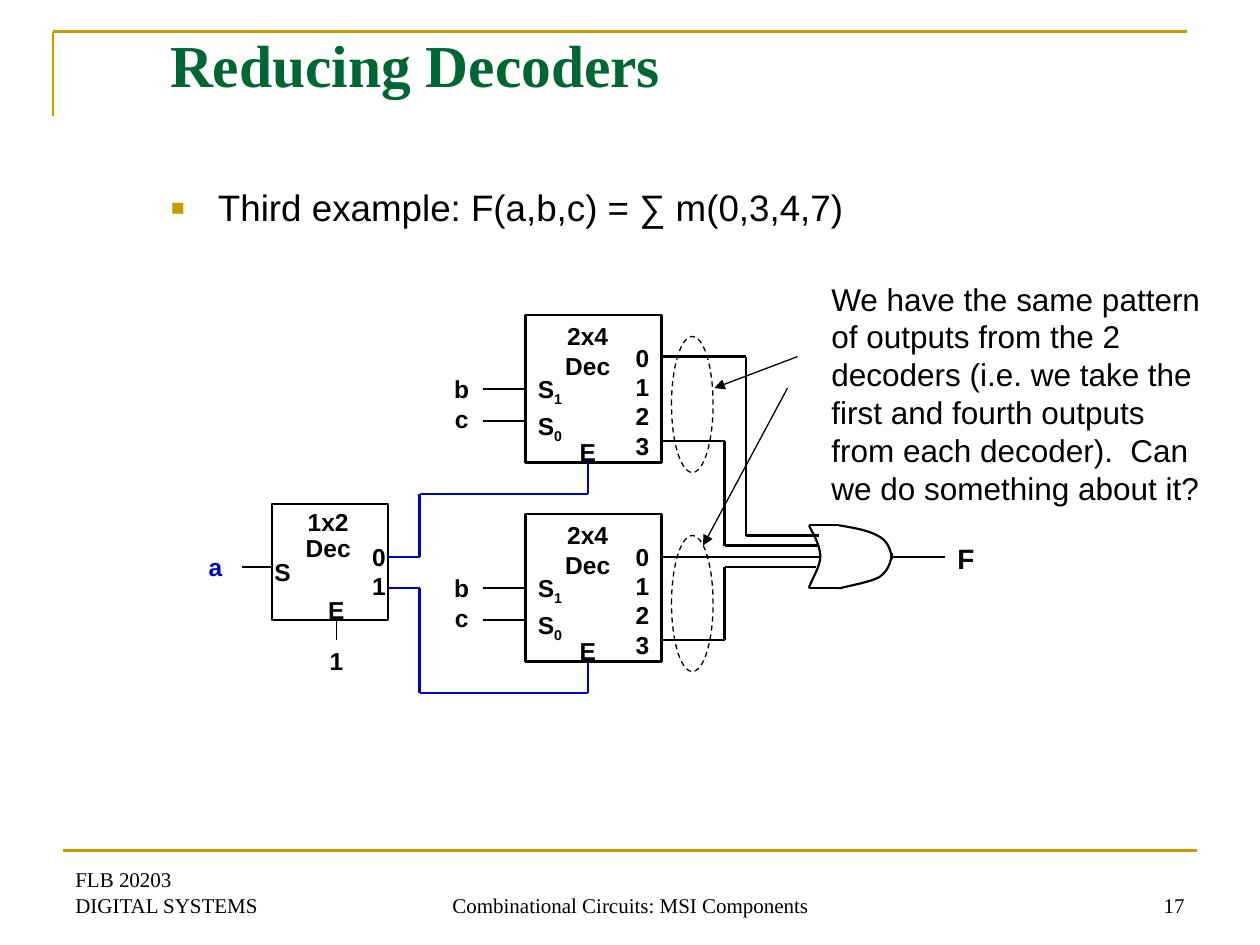
"""Slide on reducing decoders: a 1x2 decoder enabling two 2x4 decoders that feed an OR gate."""
from itertools import pairwise

from lxml.etree import SubElement
from pptx import Presentation
from pptx.dml.color import RGBColor
from pptx.enum.dml import MSO_LINE
from pptx.enum.shapes import MSO_CONNECTOR, MSO_SHAPE
from pptx.enum.text import MSO_ANCHOR, MSO_AUTO_SIZE, PP_ALIGN
from pptx.oxml.ns import qn
from pptx.util import Inches, Pt

COLORS = {"ink": "000000", "wire": "0000CC", "gold": "CC9900", "title": "006633"}
LEFT, CENTER, RIGHT = PP_ALIGN.LEFT, PP_ALIGN.CENTER, PP_ALIGN.RIGHT

deck = Presentation()
deck.slide_width, deck.slide_height = Inches(10), Inches(7.5)
page = deck.slides.add_slide(deck.slide_layouts[1])


def wire(points, color="ink", width=1.25, arrow=False):
    """Join the points with straight connectors."""
    for start, end in pairwise(points):
        line = page.shapes.add_connector(
            MSO_CONNECTOR.STRAIGHT, *(Inches(value) for value in (*start, *end)))
        line.line.color.rgb = RGBColor.from_string(COLORS[color])
        line.line.width = Pt(width)
        SubElement(line._element.spPr, qn("a:effectLst"))
        if arrow:
            SubElement(line.line._get_or_add_ln(), qn("a:tailEnd"), type="triangle")


def label(area, lines, align=CENTER, size=14, color="ink", bold=True,
          font="Arial", anchor=MSO_ANCHOR.TOP, spacing=None, gap=0):
    """Add a text box; an underscore in a line starts a subscript."""
    box = page.shapes.add_textbox(*(Inches(value) for value in area))
    frame = box.text_frame
    frame.word_wrap = True
    frame.vertical_anchor = anchor
    for index, line in enumerate(lines):
        para = frame.add_paragraph() if index else frame.paragraphs[0]
        para.alignment = align
        para.line_spacing = spacing
        if index and gap:
            para.space_before = Pt(gap)
        para.font.size, para.font.bold, para.font.name = Pt(size), bold, font
        para.font.color.rgb = RGBColor.from_string(COLORS[color])
        base, _, subscript = line.partition("_")
        para.add_run().text = base
        if subscript:
            span = para.add_run()
            span.text = subscript
            span.font._element.set("baseline", "-25000")


wire([(0.42, 0.92), (0.42, 0.25), (9.42, 0.25)], "gold", 1.5)
wire([(0.5, 6.75), (9.5, 6.75)], "gold", 1.5)
for left, width, align, text in (
    (0.5, 2.33, LEFT, ["FLB 20203", "DIGITAL SYSTEMS"]),
    (3.42, 3.17, CENTER, ["Combinational Circuits: MSI Components"]),
    (7.17, 2.33, RIGHT, ["17"]),
):
    label((left, 6.83, width, 0.5), text, align, 12, bold=False,
          font="Times New Roman", anchor=MSO_ANCHOR.BOTTOM)

title, body = page.shapes.title, page.placeholders[1]
for holder, area, text, size, font, color in (
    (title, (1.25, 0.17, 8.5, 1.25), "Reducing Decoders", 34, "Times New Roman", "title"),
    (body, (1.25, 1.42, 8.42, 0.58), "Third example: F(a,b,c) = ∑ m(0,3,4,7)", 21, "Arial", "ink"),
):
    holder.left, holder.top, holder.width, holder.height = (Inches(value) for value in area)
    holder.text_frame.text = text
    holder.text_frame.vertical_anchor = MSO_ANCHOR.TOP
    holder.text_frame.auto_size = MSO_AUTO_SIZE.NONE
    para = holder.text_frame.paragraphs[0]
    para.alignment = LEFT
    para.space_before = Pt(0)
    if holder is body:
        settings = para._p.get_or_add_pPr()
        settings.set("marL", str(Inches(0.38)))
        settings.set("indent", str(Inches(-0.38)))
        SubElement(SubElement(settings, qn("a:buClr")), qn("a:srgbClr"), val=COLORS["gold"])
        SubElement(settings, qn("a:buSzPct"), val="120000")
        SubElement(settings, qn("a:buFont"), typeface="Arial")
        SubElement(settings, qn("a:buChar"), char="▪")
    para.font.size, para.font.name, para.font.bold = Pt(size), font, holder is title
    para.font.color.rgb = RGBColor.from_string(COLORS[color])

for kind, left, top, width, height in (
    (MSO_SHAPE.RECTANGLE, 2.16, 4, 0.92, 0.92),
    (MSO_SHAPE.RECTANGLE, 4.17, 2.5, 1.08, 1.17),
    (MSO_SHAPE.RECTANGLE, 4.17, 4.08, 1.08, 1.17),
    (MSO_SHAPE.OVAL, 5.33, 2.67, 0.33, 1.08),
    (MSO_SHAPE.OVAL, 5.33, 4.25, 0.33, 1.08),
):
    outline = page.shapes.add_shape(kind, Inches(left), Inches(top), Inches(width), Inches(height))
    outline.shadow.inherit = False
    outline.fill.background()
    outline.line.color.rgb = RGBColor.from_string(COLORS["ink"])
    outline.line.width = Pt(1.5)
    if kind == MSO_SHAPE.OVAL:
        outline.line.width = Pt(0.75)
        outline.line.dash_style = MSO_LINE.DASH

for top in (2.5, 4.08):
    label((4.25, top, 0.83, 0.57), ["2x4", "Dec"])
    label((4.17, top + 0.42, 0.46, 0.66), ["S_1", "S_0"], LEFT, gap=1.8)
    label((4.83, top + 0.17, 0.42, 1.04), ["0", "1", "2", "3"], RIGHT)
    label((4.5, top + 0.92, 0.33, 0.34), ["E"])
    label((3.5, top + 0.42, 0.33, 0.57), ["b", "c"])
    for drop in (0.59, 0.84):
        wire([(3.83, top + drop), (4.17, top + drop)])

label((2.19, 4, 0.83, 0.52), ["1x2", "Dec"], spacing=0.9)
label((2.08, 4.37, 0.47, 0.34), ["S"], LEFT)
label((2.74, 4.25, 0.42, 0.57), ["0", "1"], RIGHT)
label((2.49, 4.67, 0.36, 0.34), ["E"])
label((1.5, 4.33, 0.42, 0.34), ["a"], color="wire")
label((2.42, 5.08, 0.5, 0.34), ["1"])
label((7.5, 4.25, 0.33, 0.37), ["F"], LEFT, 16)
label((6.5, 2.17, 3.17, 1.9), [
    "We have the same pattern of outputs from the 2 decoders (i.e. we take the first and "
    "fourth outputs from each decoder).  Can we do something about it?"], LEFT, 18, bold=False)

wire([(1.92, 4.5), (2.17, 4.5)])
wire([(2.67, 4.92), (2.67, 5.08)], width=0.75)
wire([(3.08, 4.42), (3.33, 4.42), (3.33, 3.92), (4.67, 3.92), (4.67, 3.67)], "wire")
wire([(3.08, 4.67), (3.33, 4.67), (3.33, 5.5), (4.67, 5.5), (4.67, 5.25)], "wire")
wire([(5.25, 2.83), (5.92, 2.83), (5.92, 4.25), (6.5, 4.25)])
wire([(5.25, 3.5), (5.75, 3.5), (5.75, 4.33), (6.5, 4.33)])
wire([(5.25, 4.42), (6.5, 4.42)])
wire([(5.25, 5.08), (5.75, 5.08), (5.75, 4.5), (6.48, 4.5)])
wire([(7.08, 4.42), (7.5, 4.42)])
wire([(6.33, 2.83), (5.67, 3.08)], width=0.75, arrow=True)
wire([(6.25, 3.08), (5.58, 4.33)], width=0.75, arrow=True)

for edge in (4.17, 4.67):
    wire([(6.42, edge), (6.66, edge)])
gate_curves = (
    [(6.42, 4.17), (6.46, 4.25), (6.51, 4.33), (6.51, 4.42),
     (6.51, 4.5), (6.43, 4.62), (6.42, 4.67)],
    [(6.66, 4.17), (6.78, 4.19), (6.9, 4.21), (6.98, 4.26),
     (7.05, 4.3), (7.07, 4.37), (7.08, 4.44)],
    [(6.66, 4.67), (6.78, 4.64), (6.9, 4.62), (6.98, 4.58),
     (7.05, 4.53), (7.07, 4.46), (7.08, 4.39)],
)
for controls in gate_curves:
    points = []
    for first in (0, 3):
        for step in range(13):
            t = step / 12
            weights = ((1 - t) ** 3, 3 * t * (1 - t) ** 2, 3 * t * t * (1 - t), t ** 3)
            points.append(tuple(
                Inches(sum(weight * point[axis]
                           for weight, point in zip(weights, controls[first:first + 4])))
                for axis in (0, 1)))
    builder = page.shapes.build_freeform(*points[0])
    builder.add_line_segments(points[1:], close=False)
    curve = builder.convert_to_shape()
    curve.shadow.inherit = False
    curve.fill.background()
    curve.line.color.rgb = RGBColor.from_string(COLORS["ink"])
    curve.line.width = Pt(1.25)

deck.save("out.pptx")
